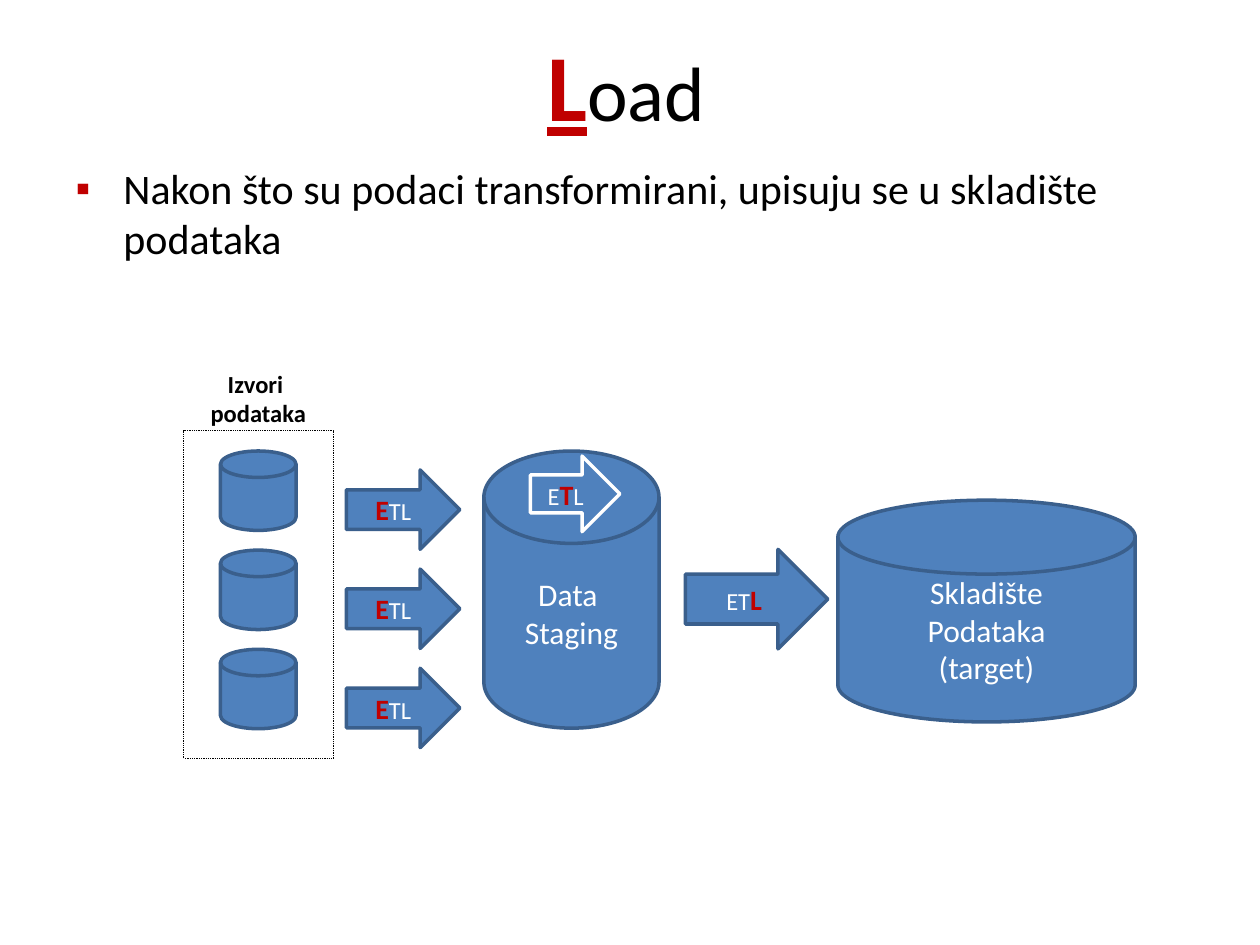
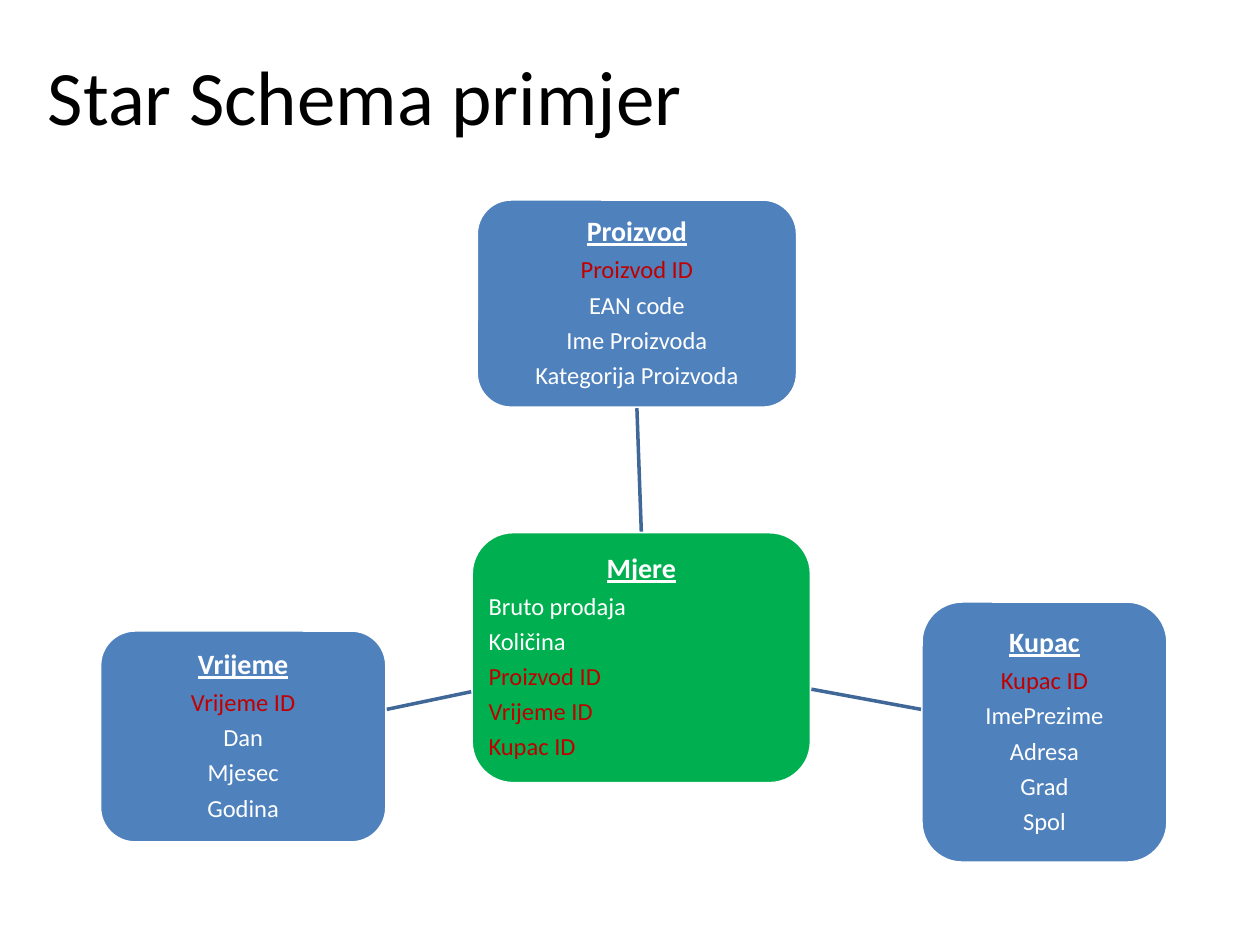
import dataclasses

import lxml.etree
import pptx
import pptx.dml.color
import pptx.enum.dml
import pptx.enum.shapes
import pptx.enum.text
import pptx.oxml
import pptx.oxml.ns
import pptx.util


@dataclasses.dataclass(frozen=True)
class Theme:
    font: str = "Calibri"
    blue: str = "4F81BD"
    edge: str = "3A5F8C"
    link: str = "3F6797"
    green: str = "00B050"
    red: str = "C00000"
    white: str = "FFFFFF"
    black: str = "000000"
    giant: int = 54
    title: int = 44
    body: int = 24
    label: int = 18
    head: int = 16
    small: int = 14
    stroke: int = 2


theme = Theme()
rgb = pptx.dml.color.RGBColor.from_string
Pt = pptx.util.Pt
kinds = pptx.enum.shapes.MSO_SHAPE
align = pptx.enum.text.PP_ALIGN

deck = pptx.Presentation()
deck.slide_width = pptx.util.Inches(10)
deck.slide_height = pptx.util.Inches(7.5)
col = deck.slide_width / 100
row = deck.slide_height / 75


def write(para, text, size, color, bold=False, under=False):
    run = para.add_run()
    run.text = text
    run.font.name = theme.font
    run.font.size = Pt(size)
    run.font.color.rgb = rgb(color)
    run.font.bold = bold
    run.font.underline = under


def draw(slide, kind, x, y, wide, high, fill=theme.blue, edge=theme.edge):
    shape = slide.shapes.add_shape(
        kind, int(x * col), int(y * row), int(wide * col), int(high * row))
    shape.shadow.inherit = False
    shape.fill.solid()
    shape.fill.fore_color.rgb = rgb(fill)
    shape.line.color.rgb = rgb(edge)
    shape.line.width = Pt(theme.stroke)
    return shape


load = deck.slides.add_slide(deck.slide_layouts[1])
star = deck.slides.add_slide(deck.slide_layouts[5])

for slide, left, top, side in (
    (load, 4.7, 0.4, align.CENTER),
    (star, 2.8, 1.3, align.LEFT),
):
    title = slide.shapes.title
    title.left, title.top = int(left * col), int(top * row)
    title.width, title.height = int(90 * col), int(12.5 * row)
    title.text_frame.auto_size = pptx.enum.text.MSO_AUTO_SIZE.NONE
    title.text_frame.paragraphs[0].alignment = side

para = load.shapes.title.text_frame.paragraphs[0]
write(para, "L", theme.giant, theme.red, True, True)
write(para, "oad", theme.title, theme.black)
para = star.shapes.title.text_frame.paragraphs[0]
write(para, "Star Schema primjer", theme.title, theme.black)

body = load.placeholders[1]
body.left, body.top = int(5 * col), int(12.4 * row)
body.width, body.height = int(90 * col), int(17.6 * row)
body.text_frame.auto_size = pptx.enum.text.MSO_AUTO_SIZE.NONE
para = body.text_frame.paragraphs[0]
write(para, "Nakon što su podaci transformirani, upisuju se u skladište podataka",
      theme.body, theme.black)
props = para._p.get_or_add_pPr()
props.set("marL", str(int(3.8 * col)))
props.set("indent", str(int(-3.8 * col)))
tint = lxml.etree.SubElement(props, pptx.oxml.ns.qn("a:buClr"))
lxml.etree.SubElement(tint, pptx.oxml.ns.qn("a:srgbClr")).set("val", theme.red)
lxml.etree.SubElement(props, pptx.oxml.ns.qn("a:buFont")).set("typeface", "Arial")
lxml.etree.SubElement(props, pptx.oxml.ns.qn("a:buChar")).set("char", "▪")

frame = draw(load, kinds.RECTANGLE, 14.6, 34.2, 11.9, 26, edge=theme.black)
frame.fill.background()
frame.line.width = Pt(0.5)
frame.line.dash_style = pptx.enum.dml.MSO_LINE.ROUND_DOT

note = load.shapes.add_textbox(
    int(15.7 * col), int(28.8 * row), int(9.6 * col), int(5.7 * row))
note.text_frame.word_wrap = False

disk = kinds.FLOWCHART_MAGNETIC_DISK
stage = draw(load, disk, 38.4, 35.8, 13.9, 22)
store = draw(load, disk, 66.5, 39.7, 23.6, 17.6)
for shape, lines, size, color, bold in (
    (note, ("Izvori ", "podataka"), theme.small, theme.black, True),
    (stage, ("Data ", "Staging"), theme.label, theme.white, False),
    (store, ("Skladište", "Podataka", "(target)"), theme.label, theme.white, False),
):
    text = shape.text_frame
    for i, line in enumerate(lines):
        para = text.add_paragraph() if i else text.paragraphs[0]
        para.alignment = align.CENTER
        write(para, line, size, color, bold)

steps = [
    ("T", 42.1, 36.2, 7.1, 6, theme.white),
    ("L", 54.4, 43.6, 11.3, 7.9, theme.edge),
]
for i in range(3):
    draw(load, disk, 17.5, 35.8 + 7.87 * i, 6, 6.3)
    steps.append(("E", 27.5, 37.3 + 7.87 * i, 9, 6.3, theme.edge))

for key, x, y, wide, high, edge in steps:
    arrow = draw(load, kinds.RIGHT_ARROW, x, y, wide, high, edge=edge)
    para = arrow.text_frame.paragraphs[0]
    para.alignment = align.CENTER
    for part in filter(None, "ETL".partition(key)):
        if part == key:
            write(para, part, theme.head, theme.red, True)
        else:
            write(para, part, theme.small, theme.white)

cards = {}
for name, x, y, wide, high, fill, side, rows in (
    ("Mjere", 37.4, 42.2, 27, 20, theme.green, align.LEFT,
     ("Bruto prodaja", "Količina", "Proizvod ID", "Vrijeme ID", "Kupac ID")),
    ("Proizvod", 37.8, 15.8, 25.5, 16.6, theme.blue, align.CENTER,
     ("Proizvod ID", "EAN code", "Ime Proizvoda", "Kategorija Proizvoda")),
    ("Kupac", 73.1, 47.7, 19.6, 20.8, theme.blue, align.CENTER,
     ("Kupac ID", "ImePrezime", "Adresa", "Grad", "Spol")),
    ("Vrijeme", 7.9, 50, 22.8, 16.9, theme.blue, align.CENTER,
     ("Vrijeme ID", "Dan", "Mjesec", "Godina")),
):
    card = draw(star, kinds.ROUNDED_RECTANGLE, x, y, wide, high, fill, theme.white)
    cards[name] = card
    text = card.text_frame
    text.margin_left = text.margin_right = int(0.4 * col)
    text.margin_top = text.margin_bottom = int(0.4 * row)
    for i, line in enumerate((name, *rows)):
        para = text.add_paragraph() if i else text.paragraphs[0]
        size = theme.small if i else theme.head
        para.alignment = side if i else align.CENTER
        para.line_spacing = 0.9
        para.space_after = Pt(0.35 * size)
        color = theme.red if line.endswith(" ID") else theme.white
        write(para, line, size, color, i == 0, i == 0)

links = []
for x, y, end, low in (
    (50.8, 42.2, 50.7, 32.4),
    (64.4, 54.7, 73.1, 56.3),
    (37.4, 54.9, 30.7, 56.3),
):
    link = star.shapes.add_connector(
        pptx.enum.shapes.MSO_CONNECTOR.STRAIGHT,
        int(x * col), int(y * row), int(end * col), int(low * row))
    link.line.color.rgb = rgb(theme.link)
    link.line.width = Pt(theme.stroke)
    lxml.etree.SubElement(link._element.spPr, pptx.oxml.ns.qn("a:effectLst"))
    links.append(link)
links[0].begin_connect(cards["Mjere"], 0)
links[0].end_connect(cards["Proizvod"], 2)

deck.save("out.pptx")
